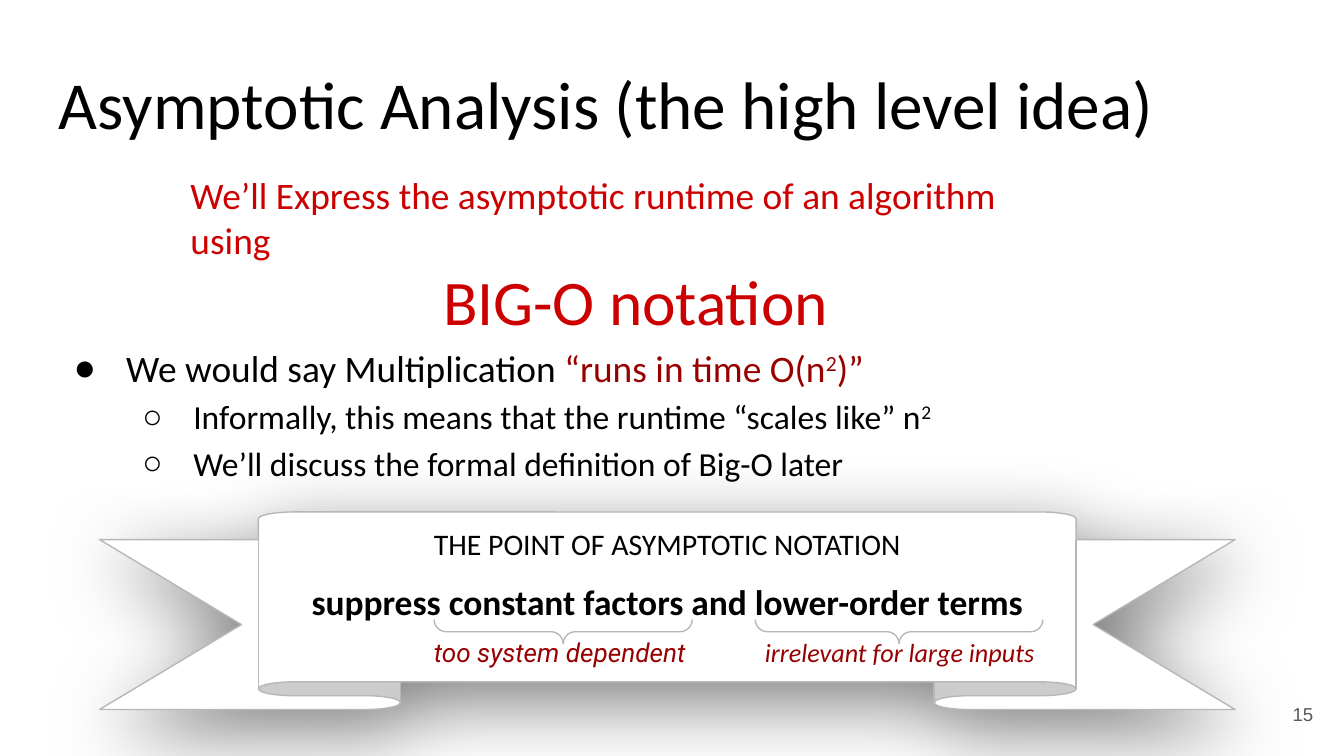
from dataclasses import dataclass

from lxml import etree
from pptx import Presentation
from pptx.dml.color import RGBColor
from pptx.enum import shapes, text
from pptx.oxml import ns
from pptx.util import Inches, Pt

INK = {"white": "FFFFFF", "black": "000000", "red": "CC0000",
       "dark": "980000", "edge": "B7B7B7", "gray": "595959"}
KIND = shapes.MSO_SHAPE
MID, TOP = text.MSO_ANCHOR.MIDDLE, text.MSO_ANCHOR.TOP
LEFT, MIDDLE, RIGHT = text.PP_ALIGN.LEFT, text.PP_ALIGN.CENTER, text.PP_ALIGN.RIGHT


@dataclass
class Run:
    """Words in one style."""
    words: str
    size: float
    ink: str = "black"
    font: str = "Calibri"
    bold: bool = False
    slant: bool = False
    raised: bool = False


@dataclass
class Para:
    """A line of runs with its layout."""
    runs: list[Run]
    align: text.PP_ALIGN = LEFT
    before: float = 0
    bullet: str = ""
    indent: float = 0
    hang: float = 0


@dataclass
class Box:
    """A text box."""
    area: tuple[float, float, float, float]
    paras: list[Para]
    anchor: text.MSO_ANCHOR = MID


def color(name: str) -> RGBColor:
    """Look up a colour."""
    return RGBColor.from_string(INK[name])


def node(parent, tag: str, **attrs: str):
    """Append a drawing element."""
    child = etree.SubElement(parent, ns.qn(tag))
    for key, value in attrs.items():
        child.set(key, value)
    return child


def mark(line, para: Para) -> None:
    """Give a paragraph its bullet and hanging indent."""
    line.line_spacing = 1.15
    props = line._p.get_or_add_pPr()
    props.set("marL", str(Inches(para.indent)))
    props.set("indent", str(Inches(-para.hang)))
    if para.indent == 1:
        props.set("lvl", "1")
    node(node(props, "a:buClr"), "a:srgbClr", val=INK["black"])
    node(props, "a:buFont", typeface="Arial")
    node(props, "a:buChar", char=para.bullet)


def write(shape, paras: list[Para], anchor: text.MSO_ANCHOR) -> None:
    """Fill a shape with styled paragraphs."""
    frame = shape.text_frame
    frame.word_wrap = True
    frame.vertical_anchor = anchor
    frame.margin_left = frame.margin_right = Inches(0.1)
    frame.margin_top = frame.margin_bottom = Inches(0.1)
    for i, para in enumerate(paras):
        line = frame.add_paragraph() if i else frame.paragraphs[0]
        line.alignment = para.align
        line.space_before = Pt(para.before)
        if para.bullet:
            mark(line, para)
        for item in para.runs:
            run = line.add_run()
            run.text = item.words
            font = run.font
            font.name, font.size = item.font, Pt(item.size)
            font.bold, font.italic = item.bold, item.slant
            font.color.rgb = color(item.ink)
            if item.raised:
                run._r.get_or_add_rPr().set("baseline", "30000")


def place(group, box: Box) -> None:
    """Draw a text box."""
    shape = group.add_textbox(*map(Inches, box.area))
    write(shape, box.paras, box.anchor)


def draw(group, kind: KIND, area: tuple, adjust: tuple, fill: str = "", edge: str = ""):
    """Draw a preset shape."""
    shape = group.add_shape(kind, *map(Inches, area))
    shape.shadow.inherit = False
    for i, value in enumerate(adjust):
        shape.adjustments[i] = value
    if fill:
        shape.fill.solid()
        shape.fill.fore_color.rgb = color(fill)
    else:
        shape.fill.background()
    if edge:
        shape.line.color.rgb = color(edge)
        shape.line.width = Pt(0.75)
    else:
        shape.line.fill.background()
    return shape


def shade(shape) -> None:
    """Cast a soft shadow."""
    effects = shape._element.spPr.find(ns.qn("a:effectLst"))
    outer = node(effects, "a:outerShdw", blurRad=str(Pt(42.8)), dist=str(Pt(12)),
                 dir=str(69 * 60000), algn="bl", rotWithShape="0")
    node(node(outer, "a:srgbClr", val=INK["black"]), "a:alpha", val="49000")


TITLE = Box((0.34, 0.41, 9.32, 0.71),
            [Para([Run("Asymptotic Analysis (the high level idea)", 36)])])
LEAD = [
    Para([Run("We’ll Express the asymptotic runtime of an algorithm using", 20, "red")]),
    Para([Run("BIG-O notation", 34, "red")], MIDDLE),
]
BODY = Box((0.34, 2.42, 9.25, 1.1), [
    Para([Run("We would say Multiplication ", 20), Run("“runs in time O(n", 20, "dark"),
          Run("2", 20, "dark", raised=True), Run(")”", 20, "dark")],
         before=10, bullet="●", indent=0.5, hang=0.39),
    Para([Run("Informally, this means that the runtime “scales like” n", 18),
          Run("2", 18, raised=True)], bullet="○", indent=1, hang=0.38),
    Para([Run("We’ll discuss the formal definition of Big-O later", 18)],
         bullet="○", indent=1, hang=0.38),
], TOP)
POINT = [
    Para([Run("THE POINT OF ASYMPTOTIC NOTATION", 16)], MIDDLE),
    Para([Run("suppress constant factors and lower-order terms", 19, bold=True)],
         MIDDLE, 10),
]
NOTES = [
    Box((2.97, 4.71, 2.39, 0.28),
        [Para([Run("too system dependent", 14, "dark", "Roboto", slant=True)], MIDDLE)]),
    Box((5.34, 4.71, 2.71, 0.28),
        [Para([Run("irrelevant for large inputs", 14, "dark", slant=True)], MIDDLE)]),
]
BRACES = [(4.1, 3.74, 0.18, 1.92), (6.6, 3.63, 0.18, 2.14)]
NUMBER = Box((9.27, 5.1, 0.6, 0.43), [Para([Run("15", 10, "gray", "Arial")], RIGHT)])


def main() -> None:
    """Build the slide."""
    deck = Presentation()
    deck.slide_width = Inches(10)
    deck.slide_height = deck.slide_width * 9 // 16
    slide = deck.slides.add_slide(deck.slide_layouts[6])
    place(slide.shapes, TITLE)
    lead = draw(slide.shapes, KIND.ROUNDED_RECTANGLE, (1.21, 1.35, 7.04, 1.1),
                (0.34,), "white")
    write(lead, LEAD, MID)
    place(slide.shapes, BODY)
    group = slide.shapes.add_group_shape().shapes
    banner = draw(group, KIND.UP_RIBBON, (0.74, 3.81, 8.45, 1.47),
                  (0.14, 0.72), "white", "edge")
    shade(banner)
    write(banner, POINT, TOP)
    for note in NOTES:
        place(group, note)
    for area in BRACES:
        draw(group, KIND.LEFT_BRACE, area, (0.5, 0.5), edge="edge").rotation = 270
    place(slide.shapes, NUMBER)
    deck.save("out.pptx")


if __name__ == "__main__":
    main()
